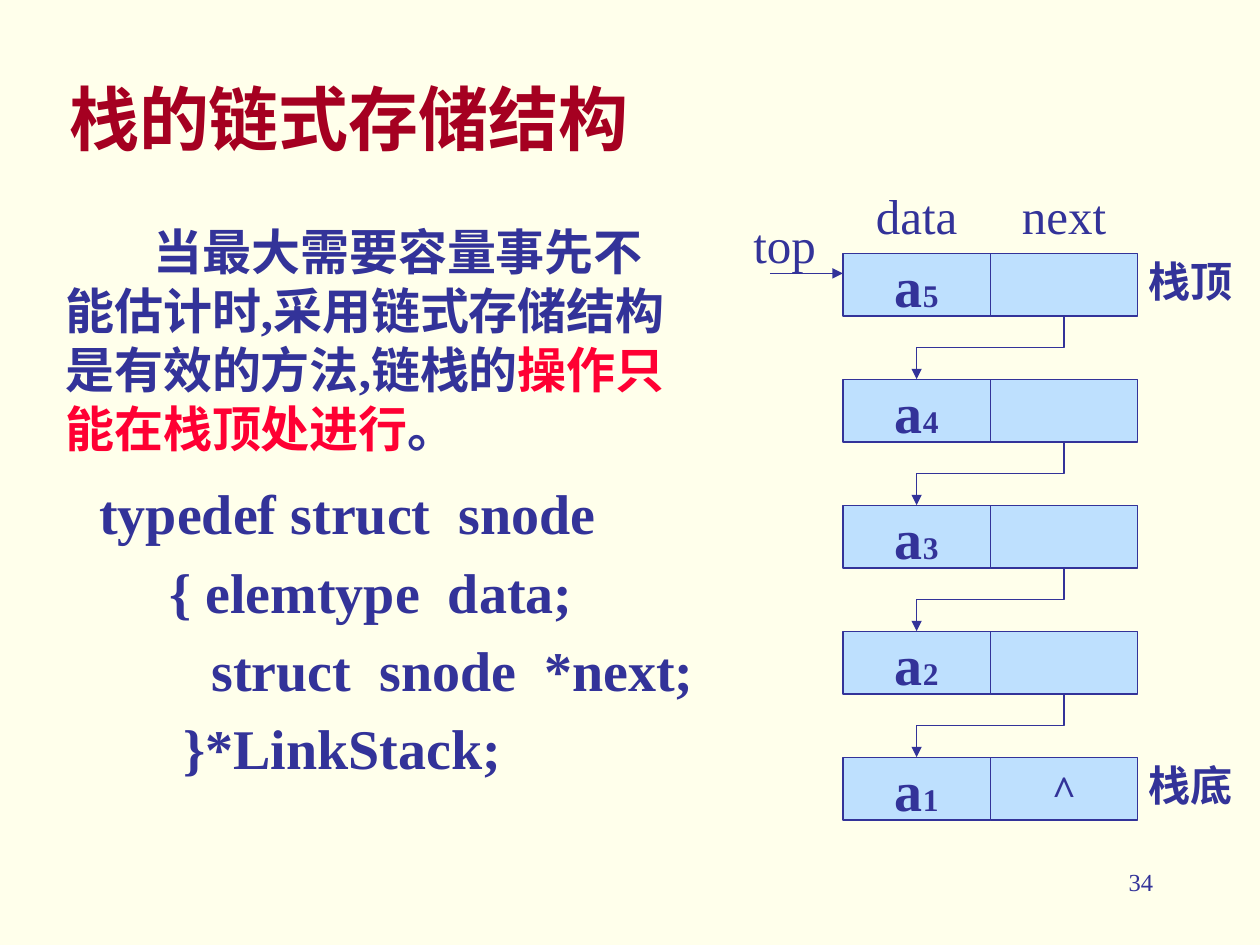
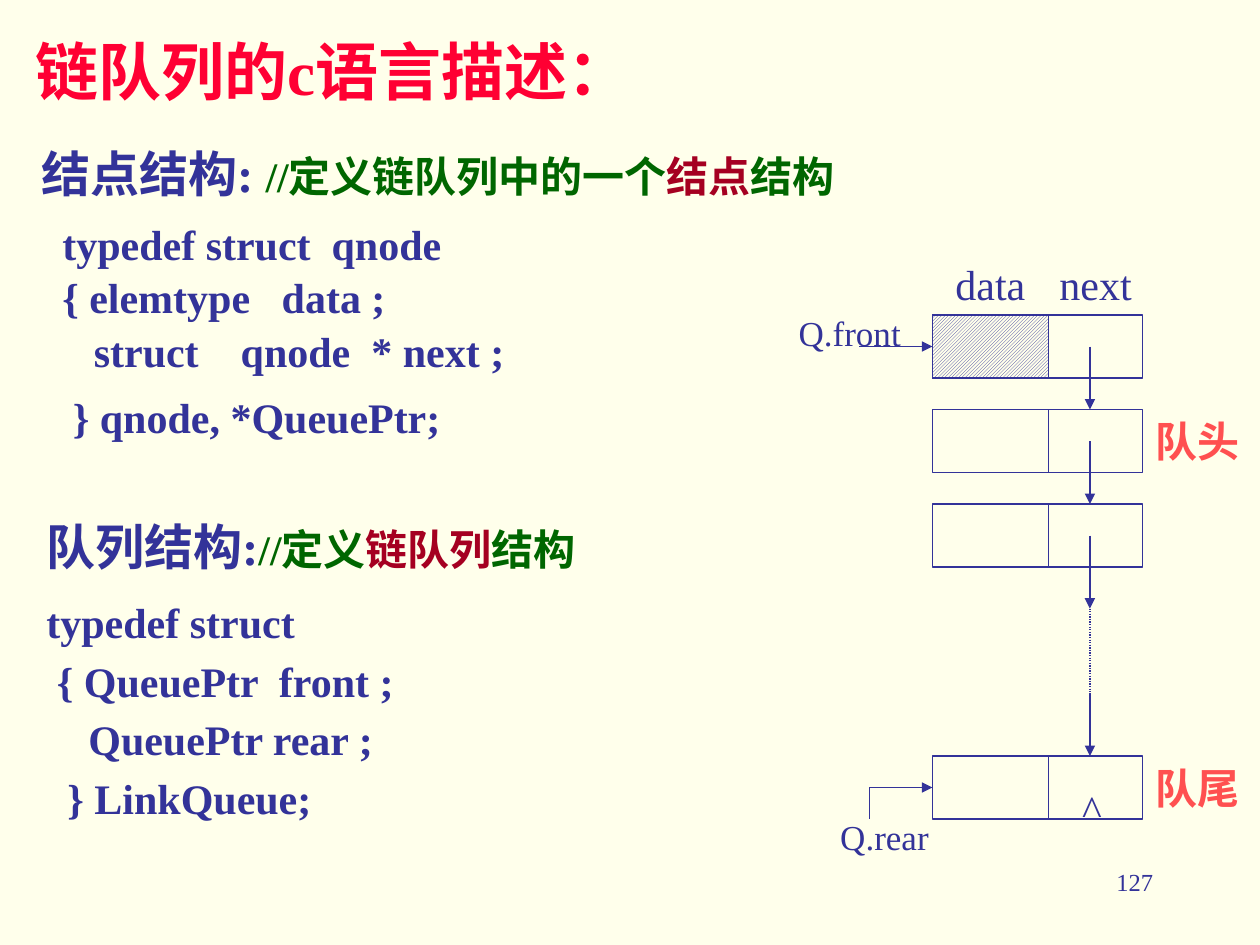
"""Build two slides on linked stacks and linked queues."""
from lxml import etree
from pptx import Presentation
from pptx import util as u
from pptx.dml.color import RGBColor
from pptx.enum import dml, shapes, text
from pptx.oxml.ns import qn

PAPER, INK, CELL = "FFFFEB", "333399", "BEE0FE"
CRIMSON, RED, GREEN, CORAL = "A50021", "FF0033", "006600", "FF5050"
LATIN, HAN = "Times New Roman", "Noto Sans CJK SC"
LEFT, CENTER, RIGHT = text.PP_ALIGN.LEFT, text.PP_ALIGN.CENTER, text.PP_ALIGN.RIGHT
HANG = (0.38, -0.38)
FIELDS = ("data", "next")

STACK_TITLE = "栈的链式存储结构"
STACK_INTRO = [
    ("当最大需要容量事先不能估计时,采用链式存储结构是有效的方法,链栈的", 28, INK, True),
    ("操作只能在栈顶处进行", 28, RED, True),
    ("。", 28, INK, True),
]
STACK_CODE = [
    "typedef struct  snode",
    "     { elemtype  data;",
    "        struct  snode  *next;",
    "      }*LinkStack;",
]
STACK_INDEXES = ("5", "4", "3", "2", "1")
STACK_ENDS = {0: "栈顶", 4: "栈底"}

QUEUE_TITLE = "链队列的c语言描述："
NODE_HEADING = [
    ("结点结构: ", 28, INK, True),
    ("//", 24, GREEN, True),
    ("定义链队列中的一个", 24, GREEN, True),
    ("结点", 24, CRIMSON, True),
    ("结构", 24, GREEN, True),
]
NODE_CODE = [
    ("  typedef struct  qnode", 0.5),
    ("  { elemtype   data ;", 0.2),
    ("     struct    qnode  * next ;", 0.2),
    ("   } qnode, *QueuePtr;", 0.5),
]
QUEUE_HEADING = [
    ("队列结构:", 28, INK, True),
    ("//", 24, GREEN, True),
    ("定义", 24, GREEN, True),
    ("链队列", 24, CRIMSON, True),
    ("结构", 24, GREEN, True),
]
QUEUE_CODE = [
    ("typedef struct", 0.5),
    (" { QueuePtr  front ;", 0.2),
    ("    QueuePtr rear ;", 0.2),
    ("  } LinkQueue;", 0.2),
]
QUEUE_ROWS = (2.5, 3.25, 4, 6)
QUEUE_ENDS = {3.25: "队头", 6: "队尾"}
QUEUE_LINKS = [(2.75, 3.25), (3.5, 4), (4.25, 4.83), (5.5, 6)]


def rgb(color):
    return RGBColor.from_string(color)


def box(left, top, width, height):
    return [u.Inches(value) for value in (left, top, width, height)]


def write(frame, paragraphs, align=LEFT, indent=None, spacing=None):
    """Fill a frame with (runs, space before as a share of the text size) pairs."""
    for number, (runs, gap) in enumerate(paragraphs):
        paragraph = frame.add_paragraph() if number else frame.paragraphs[0]
        paragraph.alignment = align
        if indent:
            properties = paragraph._p.get_or_add_pPr()
            for key, inches in zip(("marL", "indent"), indent):
                properties.set(key, str(u.Inches(inches)))
        if spacing:
            paragraph.line_spacing = spacing
        if number:
            paragraph.space_before = u.Pt(round(runs[-1][1] * gap, 1))
        for words, size, color, bold in runs:
            run = paragraph.add_run()
            run.text = words
            run.font.size, run.font.bold = u.Pt(size), bold
            run.font.color.rgb = rgb(color)
            run.font.name = LATIN
            etree.SubElement(run._r.get_or_add_rPr(), qn("a:ea"), typeface=HAN)


def add_text(slide, place, paragraphs, wrap=True, middle=False, **layout):
    frame = slide.shapes.add_textbox(*box(*place)).text_frame
    frame.word_wrap = wrap
    if middle:
        frame.vertical_anchor = text.MSO_ANCHOR.MIDDLE
    write(frame, paragraphs, **layout)


def add_label(slide, place, words, size, color=INK, bold=False, **layout):
    add_text(slide, place, [([(words, size, color, bold)], 0)], **layout)


def add_headers(slide, edges, top, size):
    """Centre each field name over its column, with room beyond the edges."""
    spare = 0.15
    for field, left, right in zip(FIELDS, edges, edges[1:]):
        add_label(slide, (left - spare, top, right - left + 2 * spare, 0.5), field, size,
                  align=CENTER)


def add_cell(slide, place, fill=None, runs=None):
    cell = slide.shapes.add_shape(shapes.MSO_SHAPE.RECTANGLE, *box(*place))
    cell.shadow.inherit = False
    cell.line.color.rgb, cell.line.width = rgb(INK), u.Pt(0.75)
    if fill:
        cell.fill.solid()
        cell.fill.fore_color.rgb = rgb(fill)
    else:
        cell.fill.background()
    if runs:
        cell.text_frame.word_wrap = False
        cell.text_frame.vertical_anchor = text.MSO_ANCHOR.MIDDLE
        write(cell.text_frame, [(runs, 0)], align=CENTER)
    return cell


def add_line(slide, start, end, arrow=False, kind=shapes.MSO_CONNECTOR.STRAIGHT):
    line = slide.shapes.add_connector(kind, *box(*start, *end))
    line.line.color.rgb, line.line.width = rgb(INK), u.Pt(0.75)
    if arrow:
        etree.SubElement(line.line._get_or_add_ln(), qn("a:tailEnd"), type="triangle")
    etree.SubElement(line._element.spPr, qn("a:effectLst"))
    return line


def add_elbow(slide, start, end):
    """Draw an arrow that leaves downwards, runs left and enters downwards."""
    (x1, y1), (x2, y2) = start, end
    x, y = (x1 + x2) / 2, (y1 + y2) / 2
    half_drop, half_run = (y2 - y1) / 2, (x1 - x2) / 2
    elbow = add_line(slide, (x - half_drop, y - half_run), (x + half_drop, y + half_run),
                     True, shapes.MSO_CONNECTOR.ELBOW)
    elbow._element.spPr.find(qn("a:xfrm")).set("rot", str(90 * 60000))


def add_slide(deck, page):
    slide = deck.slides.add_slide(deck.slide_layouts[6])
    slide.background.fill.solid()
    slide.background.fill.fore_color.rgb = rgb(PAPER)
    add_label(slide, (7.17, 6.83, 2.08, 0.5), page, 14, align=RIGHT)
    return slide


def code(lines):
    return [([(words, 24, INK, True)], gap) for words, gap in lines]


def draw_stack(slide):
    left, top, width, height, pitch = 6.69, 2.01, 1.17, 0.5, 1
    columns = (left, left + width)
    data_x, next_x = (x + width / 2 for x in columns)
    last = len(STACK_INDEXES) - 1
    for row, index in enumerate(STACK_INDEXES):
        y = top + row * pitch
        end_mark = [("^", 24, INK, True)] if row == last else None
        element = [("a", 32, INK, True), (index, 18, INK, True)]
        for x, runs in zip(columns, (element, end_mark)):
            add_cell(slide, (x, y, width, height), CELL, runs)
        if row < last:
            add_elbow(slide, (next_x, y + height), (data_x, y + pitch))
        if row in STACK_ENDS:
            add_label(slide, (9.02, y - 0.03, 0.87, 0.5), STACK_ENDS[row], 24,
                      bold=True, wrap=False)
    add_headers(slide, (*columns, left + 2 * width), 1.42, 28)
    add_line(slide, (6.11, 2.17), (left, 2.17), True)
    add_label(slide, (5.88, 1.65, 0.98, 0.57), "top", 28)


def draw_queue(slide):
    left, split, right, height, link_x = 7.4, 8.32, 9.07, 0.5, 8.65
    for y in QUEUE_ROWS:
        add_cell(slide, (left, y, right - left, height))
        add_line(slide, (split, y), (split, y + height))
        if y in QUEUE_ENDS:
            add_label(slide, (right, y, 0.92, 0.5), QUEUE_ENDS[y], 24, CORAL, True)
    head = add_cell(slide, (left, QUEUE_ROWS[0], split - left, height))
    head.fill.patterned()
    head.fill.pattern = dml.MSO_PATTERN.LIGHT_UPWARD_DIAGONAL
    head.fill.fore_color.rgb, head.fill.back_color.rgb = rgb(INK), rgb(PAPER)
    add_headers(slide, (left, split, right), 2, 24)
    for y1, y2 in QUEUE_LINKS:
        add_line(slide, (link_x, y1), (link_x, y2), True)
    omitted = add_line(slide, (link_x, 4.83), (link_x, 5.5))
    omitted.line.dash_style = dml.MSO_LINE.ROUND_DOT
    add_label(slide, (8.49, 6.17, 0.67, 0.5), "^", 24)
    add_line(slide, (6.82, 2.75), (left, 2.75), True)
    add_label(slide, (6.24, 2.42, 1.17, 0.43), "Q.front", 20)
    add_line(slide, (6.9, 6.25), (left, 6.25), True)
    add_line(slide, (6.9, 6.25), (6.9, 6.5))
    add_label(slide, (6.57, 6.42, 1.08, 0.43), "Q.rear", 20)


def main():
    deck = Presentation()
    deck.slide_width, deck.slide_height = u.Inches(10), u.Inches(7.5)

    stack = add_slide(deck, "34")
    add_label(stack, (0.45, 0.6, 9.01, 0.66), STACK_TITLE, 40, CRIMSON, True, middle=True)
    add_text(stack, (0.42, 1.71, 5, 2.25), [(STACK_INTRO, 0)], indent=(0, 0.7))
    draw_stack(stack)
    add_text(stack, (0.69, 3.75, 5, 2.73),
             [([(words, 32, INK, True)], 0.2) for words in STACK_CODE])

    queue = add_slide(deck, "127")
    add_label(queue, (0.18, 0.21, 5.41, 0.7), QUEUE_TITLE, 36, RED, True)
    add_text(queue, (0.23, 1.14, 6.55, 2.61), [(NODE_HEADING, 0)] + code(NODE_CODE),
             indent=HANG, spacing=0.9)
    draw_queue(queue)
    add_text(queue, (0.27, 4.05, 6.55, 3.16), [(QUEUE_HEADING, 0)] + code(QUEUE_CODE),
             indent=HANG)

    deck.save("out.pptx")


if __name__ == "__main__":
    main()
